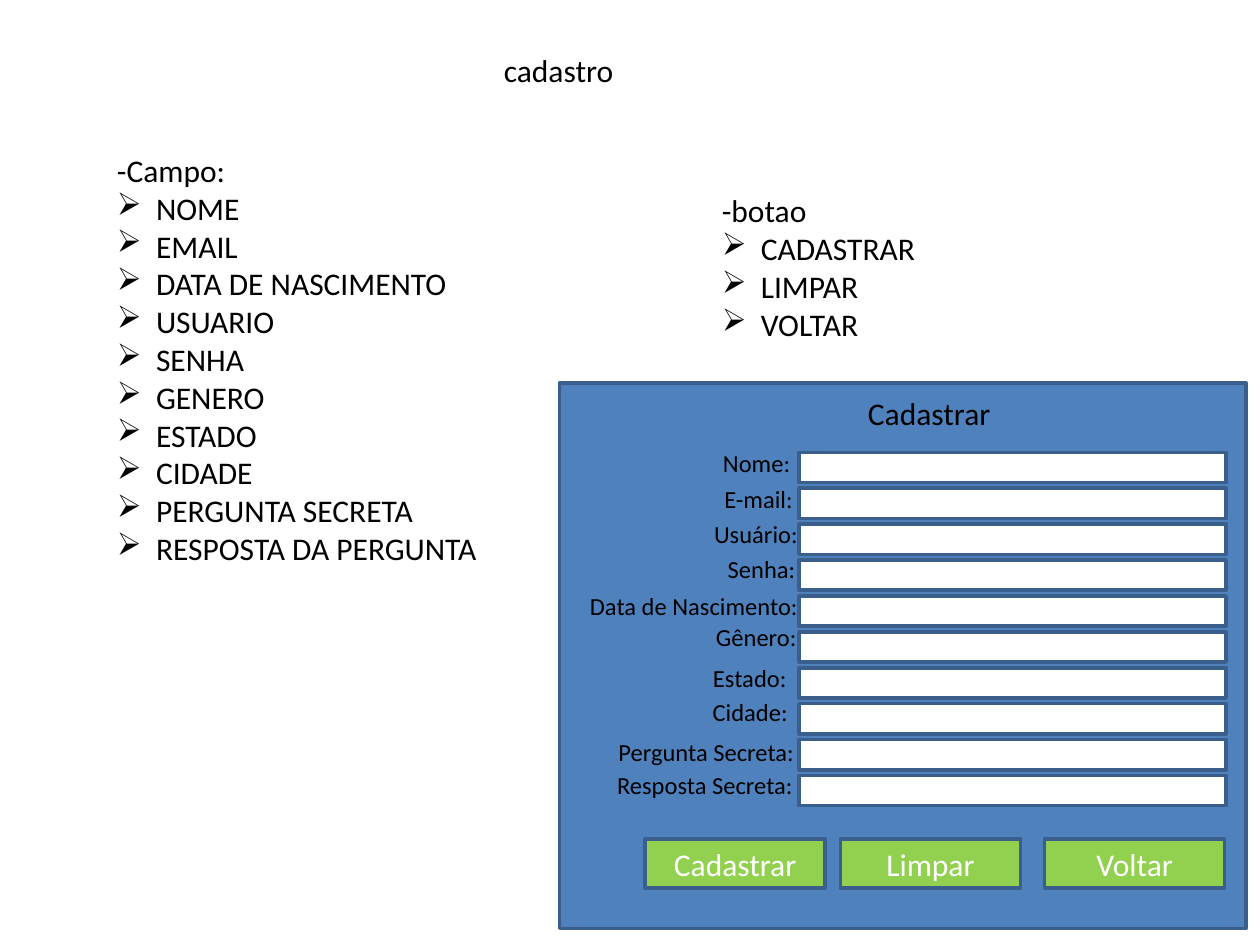
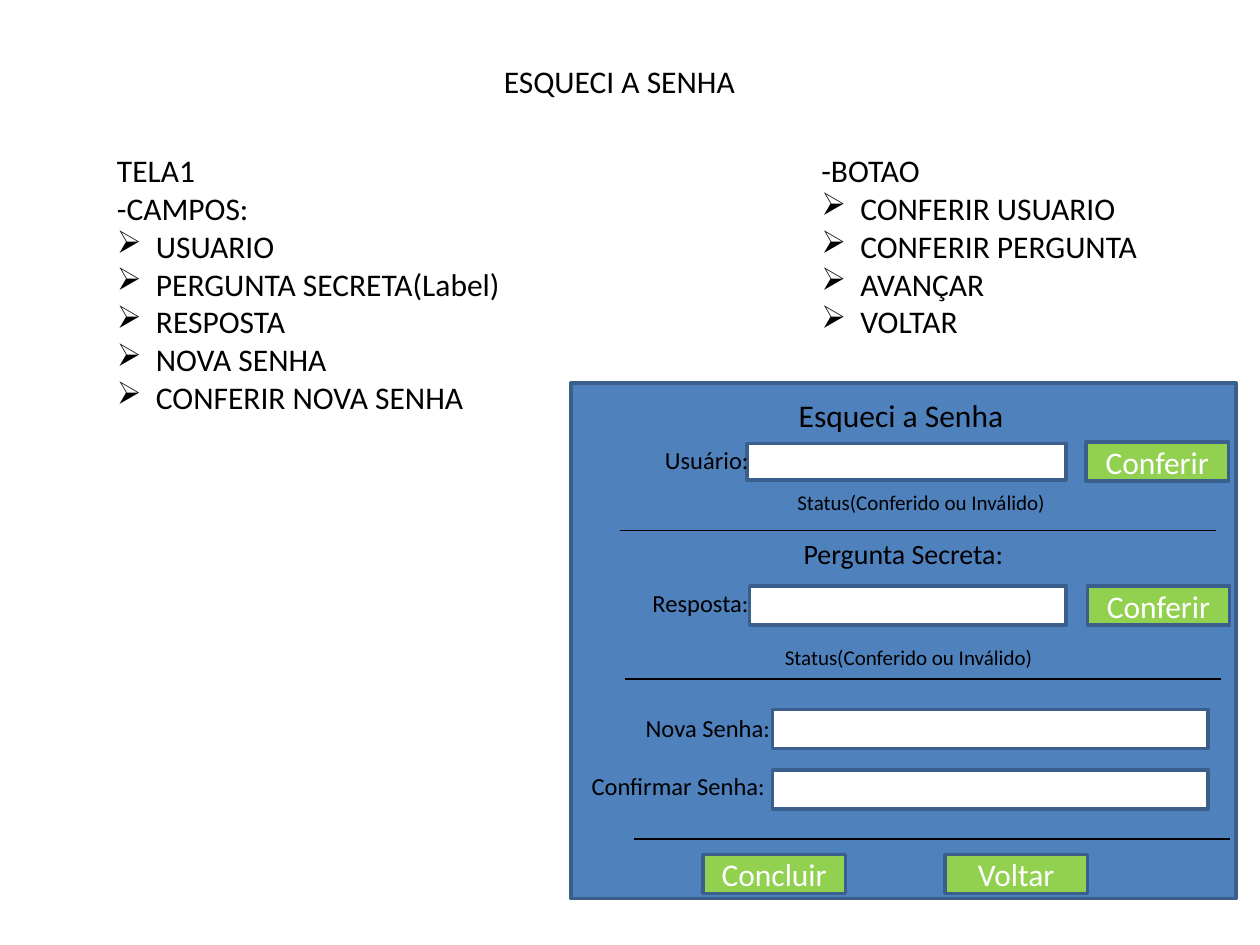
import pptx
import pptx.util
import pptx.dml.color
import pptx.enum.shapes
import pptx.enum.text
import pptx.oxml.ns
from lxml import etree

Inches, Pt = pptx.util.Inches, pptx.util.Pt
ALIGN = pptx.enum.text.PP_ALIGN
RGB = pptx.dml.color.RGBColor.from_string
qn = pptx.oxml.ns.qn
FONT = "Calibri"
COLORS = {"ink": "000000", "panel": "4F81BD", "edge": "3A5F8C",
          "field": "FFFFFF", "button": "92D050", "light": "FFFFFF"}


def add_text(shapes, lines, left, top, width, height, size=18, right=False):
    """Add a text box; lines that start with '* ' become arrow bullets."""
    box = shapes.add_textbox(Inches(left), Inches(top), Inches(width), Inches(height))
    frame = box.text_frame
    frame.word_wrap = right
    frame.text = "\n".join(line.removeprefix("* ") for line in lines)
    for line, para in zip(lines, frame.paragraphs):
        para.alignment = ALIGN.RIGHT if right else ALIGN.LEFT
        font = para.runs[0].font
        font.name, font.size = FONT, Pt(size)
        font.color.rgb = RGB(COLORS["ink"])
        if line.startswith("* "):
            props = para._p.get_or_add_pPr()
            props.set("marL", str(Inches(0.31)))
            props.set("indent", str(-Inches(0.31)))
            etree.SubElement(props, qn("a:buChar")).set("char", "\u27a2")


def add_box(shapes, color, left, top, width, height, text=""):
    """Add an outlined rectangle, with centred light text if given."""
    box = shapes.add_shape(pptx.enum.shapes.MSO_SHAPE.RECTANGLE, Inches(left),
                           Inches(top), Inches(width), Inches(height))
    box.shadow.inherit = False
    box.fill.solid()
    box.fill.fore_color.rgb = RGB(COLORS[color])
    box.line.color.rgb = RGB(COLORS["edge"])
    box.line.width = Pt(2)
    if text:
        frame = box.text_frame
        frame.text = text
        frame.vertical_anchor = pptx.enum.text.MSO_ANCHOR.MIDDLE
        para = frame.paragraphs[0]
        para.alignment = ALIGN.CENTER
        font = para.runs[0].font
        font.name, font.size = FONT, Pt(18)
        font.color.rgb = RGB(COLORS["light"])


deck = pptx.Presentation()
deck.slide_width, deck.slide_height = Inches(10), Inches(7.5)
blank = deck.slide_layouts[6]

# Slide 1: sign-up
shapes = deck.slides.add_slide(blank).shapes
add_text(shapes, ["cadastro"], 3.9, 0.36, 1.08, 0.4)
add_text(shapes, ["-Campo:", "* NOME", "* EMAIL", "* DATA DE NASCIMENTO",
                  "* USUARIO", "* SENHA", "* GENERO", "* ESTADO", "* CIDADE",
                  "* PERGUNTA SECRETA", "* RESPOSTA DA PERGUNTA"],
         0.83, 1.15, 3.08, 3.74)
add_text(shapes, ["-botao", "* CADASTRAR", "* LIMPAR", "* VOLTAR"],
         5.63, 1.47, 1.75, 1.92)

form = shapes.add_group_shape().shapes
add_box(form, "panel", 4.44, 3.04, 5.45, 4.33)
add_text(form, ["Cadastrar"], 6.79, 3.08, 1.18, 0.4)
# Label, right edge, top, width
labels = [("Nome:", 6.37, 3.51, 0.8), ("E-mail:", 6.39, 3.79, 0.8),
          ("Usuário:", 6.43, 4.07, 0.92), ("Senha:", 6.41, 4.35, 0.92),
          ("Data de Nascimento:", 6.43, 4.64, 2.13), ("Gênero:", 6.42, 4.89, 1.07),
          ("Estado:", 6.34, 5.21, 1.01), ("Cidade:", 6.35, 5.48, 1.02),
          ("Pergunta Secreta:", 6.4, 5.8, 1.83), ("Resposta Secreta:", 6.39, 6.06, 1.87)]
for row, (label, edge, top, width) in enumerate(labels):
    add_box(form, "field", 6.34, 3.59 + row * 0.285, 3.39, 0.24)
    add_text(form, [label], edge - width, top, width, 0.34, 14, right=True)
for text, left in [("Cadastrar", 5.12), ("Limpar", 6.67), ("Voltar", 8.29)]:
    add_box(form, "button", left, 6.66, 1.43, 0.39, text)

# Slide 2: forgotten password
shapes = deck.slides.add_slide(blank).shapes
add_text(shapes, ["ESQUECI A SENHA"], 3.9, 0.44, 2.05, 0.4)
add_text(shapes, ["TELA1", "-CAMPOS:", "* USUARIO", "* PERGUNTA SECRETA(Label)",
                  "* RESPOSTA", "* NOVA SENHA", "* CONFERIR NOVA SENHA"],
         0.83, 1.15, 3.27, 2.22)
add_text(shapes, ["-BOTAO", "* CONFERIR USUARIO", "* CONFERIR PERGUNTA",
                  "* AVANÇAR", "* VOLTAR"], 6.42, 1.15, 2.73, 1.62)
add_box(shapes, "panel", 4.53, 3.04, 5.28, 4.09)
add_text(shapes, ["Esqueci a Senha"], 6.24, 3.09, 1.85, 0.4)
add_text(shapes, ["Pergunta Secreta:"], 6.28, 4.21, 1.81, 0.37, 16)

for left, top, width, height in [(5.93, 3.52, 2.53, 0.29), (5.95, 4.65, 2.51, 0.31),
                                 (6.13, 5.63, 3.46, 0.31), (6.13, 6.11, 3.46, 0.31)]:
    add_box(shapes, "field", left, top, width, height)
for label, edge, top, width in [("Usuário:", 6.04, 3.48, 0.92),
                                ("Resposta:", 6.04, 4.62, 1.02),
                                ("Nova Senha:", 6.21, 5.61, 1.64),
                                ("Confirmar Senha:", 6.17, 6.07, 1.68)]:
    add_text(shapes, [label], edge - width, top, width, 0.34, 14, right=True)
for text, left, top in [("Conferir", 8.62, 3.51), ("Conferir", 8.63, 4.65),
                        ("Concluir", 5.58, 6.78), ("Voltar", 7.5, 6.78)]:
    add_box(shapes, "button", left, top, 1.13, 0.31, text)
for left, top in [(6.23, 3.84), (6.13, 5.07)]:
    add_text(shapes, ["Status(Conferido ou Inválido)"], left, top, 2.18, 0.3, 12)
for left, top in [(4.92, 4.21), (4.96, 5.39), (5.03, 6.66)]:
    rule = shapes.add_connector(pptx.enum.shapes.MSO_CONNECTOR.STRAIGHT, Inches(left),
                                Inches(top), Inches(left + 4.73), Inches(top))
    rule.line.color.rgb = RGB(COLORS["ink"])
    rule.line.width = Pt(0.75)
    etree.SubElement(rule._element.spPr, qn("a:effectLst"))

deck.save("out.pptx")
